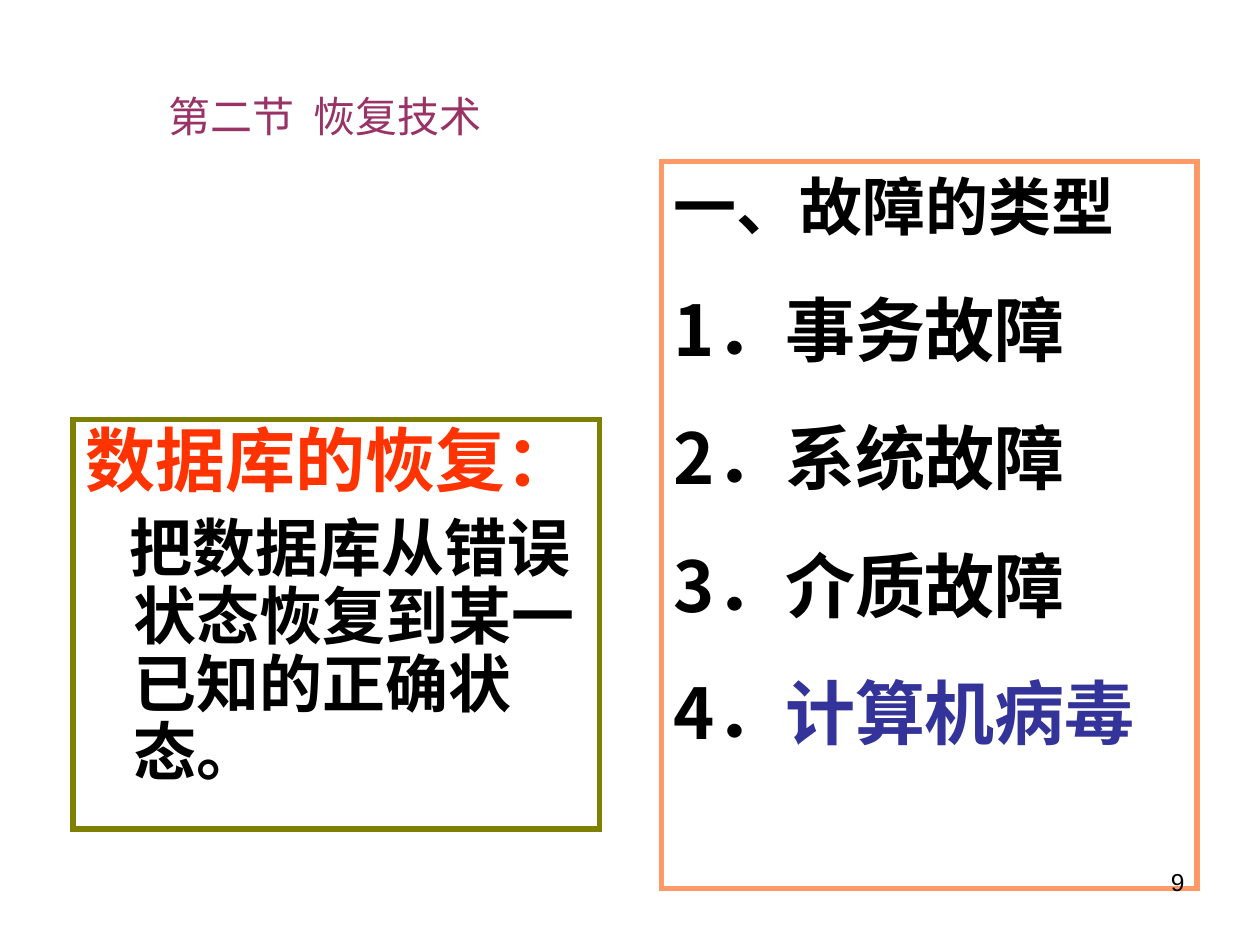
from lxml.etree import SubElement
from pptx import Presentation
from pptx.dml.color import RGBColor
from pptx.enum.shapes import MSO_SHAPE
from pptx.enum.text import MSO_ANCHOR, PP_ALIGN
from pptx.oxml.ns import qn
from pptx.util import Inches, Pt

CJK_FONT = "Noto Sans CJK SC"


def color(value):
    return RGBColor.from_string(value)


def format_para(para, size, font_name, hex_color, bold=False, align=PP_ALIGN.LEFT):
    para.alignment = align
    font = para.font
    font.size = Pt(size)
    font.name = font_name
    font.bold = bold
    font.color.rgb = color(hex_color)
    properties = para._p.pPr
    properties.set("hangingPunct", "0")
    SubElement(properties.find(qn("a:defRPr")), qn("a:ea")).set("typeface", CJK_FONT)


def add_panel(page, box, line_color):
    panel = page.shapes.add_shape(MSO_SHAPE.RECTANGLE, *map(Inches, box))
    panel.shadow.inherit = False
    panel.fill.solid()
    panel.fill.fore_color.rgb = color("FFFFFF")
    panel.line.color.rgb = color(line_color)
    panel.line.width = Pt(3)
    outline = panel._element.spPr.find(qn("a:ln"))
    SubElement(outline, qn("a:miter")).set("lim", "800000")
    frame = panel.text_frame
    frame.word_wrap = True
    frame.vertical_anchor = MSO_ANCHOR.TOP
    return frame


def place_title(page, box):
    title = page.shapes.title
    title.left, title.top, title.width, title.height = map(Inches, box)
    frame = title.text_frame
    frame.word_wrap = False
    frame.vertical_anchor = MSO_ANCHOR.TOP
    frame.text = "第二节  恢复技术"
    format_para(frame.paragraphs[0], 24, "Noto Sans CJK JP", "993366", align=PP_ALIGN.CENTER)


def add_definition(page, box):
    frame = add_panel(page, box, "808000")
    term = frame.paragraphs[0]
    term.text = "数据库的恢复："
    term.line_spacing = 0.9
    format_para(term, 40, "Arial", "FF3300", bold=True)

    meaning = frame.add_paragraph()
    meaning.text = "把数据库从错误状态恢复到某一已知的正确状态。"
    meaning.line_spacing = 0.9
    meaning.space_before = Pt(9)
    format_para(meaning, 36, "Arial", "000000", bold=True)
    meaning._p.pPr.set("marL", str(Inches(0.38)))
    meaning._p.pPr.set("indent", str(Inches(-0.03)))


def add_failure_types(page, box):
    frame = add_panel(page, box, "FF9966")
    heading = frame.paragraphs[0]
    heading.text = "一、故障的类型"
    format_para(heading, 36, "Times New Roman", "000000", bold=True)

    failures = ["事务故障", "系统故障", "介质故障", "计算机病毒"]
    for number, failure in enumerate(failures, 1):
        para = frame.add_paragraph()
        para.space_before = Pt(25)
        format_para(para, 40, CJK_FONT, "000000", bold=True)
        para.add_run().text = f"{number}．"
        span = para.add_run()
        span.text = failure
        if failure == failures[-1]:
            span.font.color.rgb = color("333399")


def add_page_number(page, box):
    frame = page.shapes.add_textbox(*map(Inches, box)).text_frame
    frame.word_wrap = True
    frame.text = "9"
    format_para(frame.paragraphs[0], 14, "Arial", "000000", align=PP_ALIGN.RIGHT)


def main():
    deck = Presentation()
    deck.slide_width, deck.slide_height = Inches(10), Inches(7.5)
    page = deck.slides.add_slide(deck.slide_layouts[5])
    place_title(page, (0.58, 0.67, 4, 2))
    add_definition(page, (0.58, 3.33, 4.18, 3.25))
    add_failure_types(page, (5.25, 1.28, 4.25, 5.77))
    add_page_number(page, (7.17, 6.83, 2.33, 0.52))
    deck.save("out.pptx")


if __name__ == "__main__":
    main()
